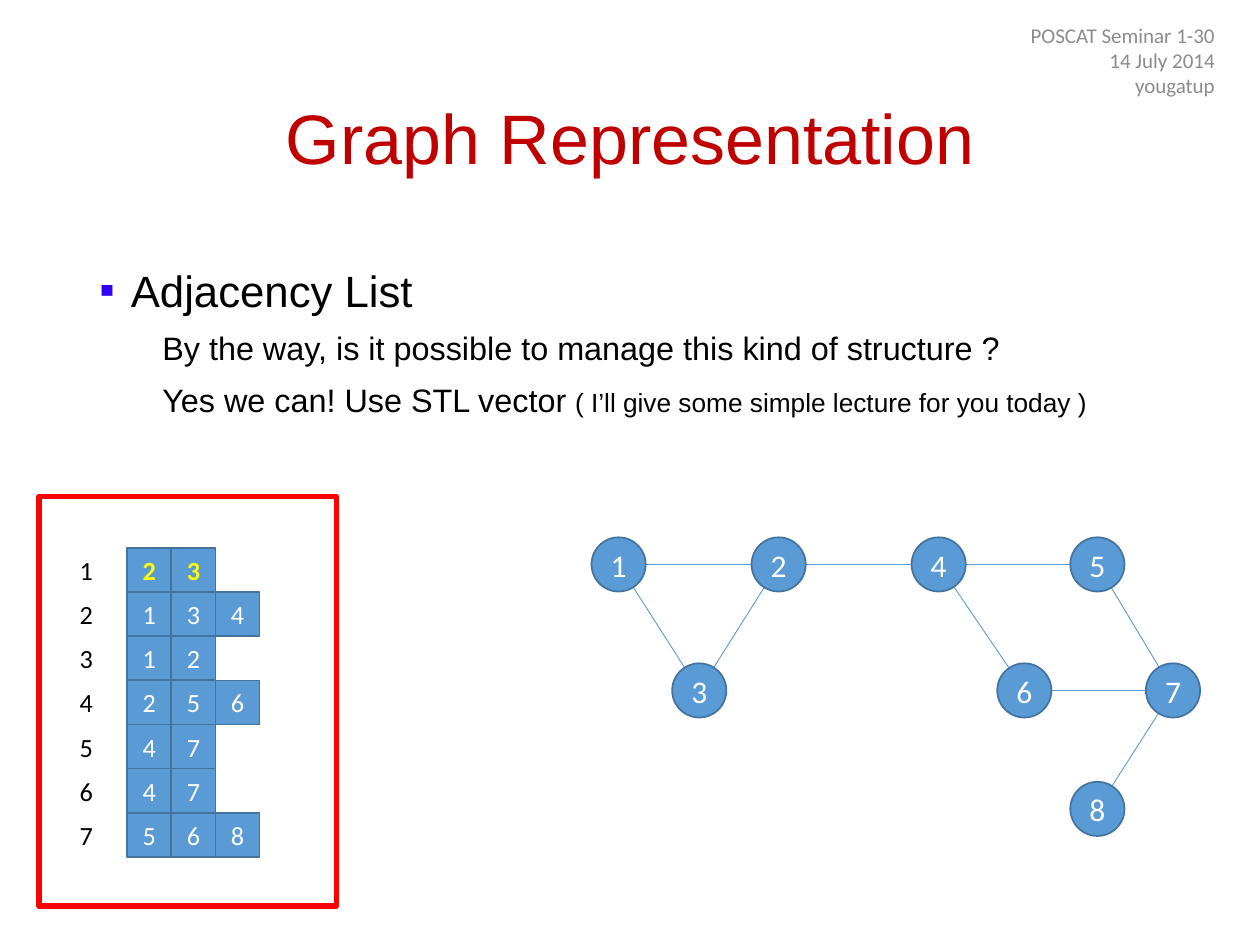
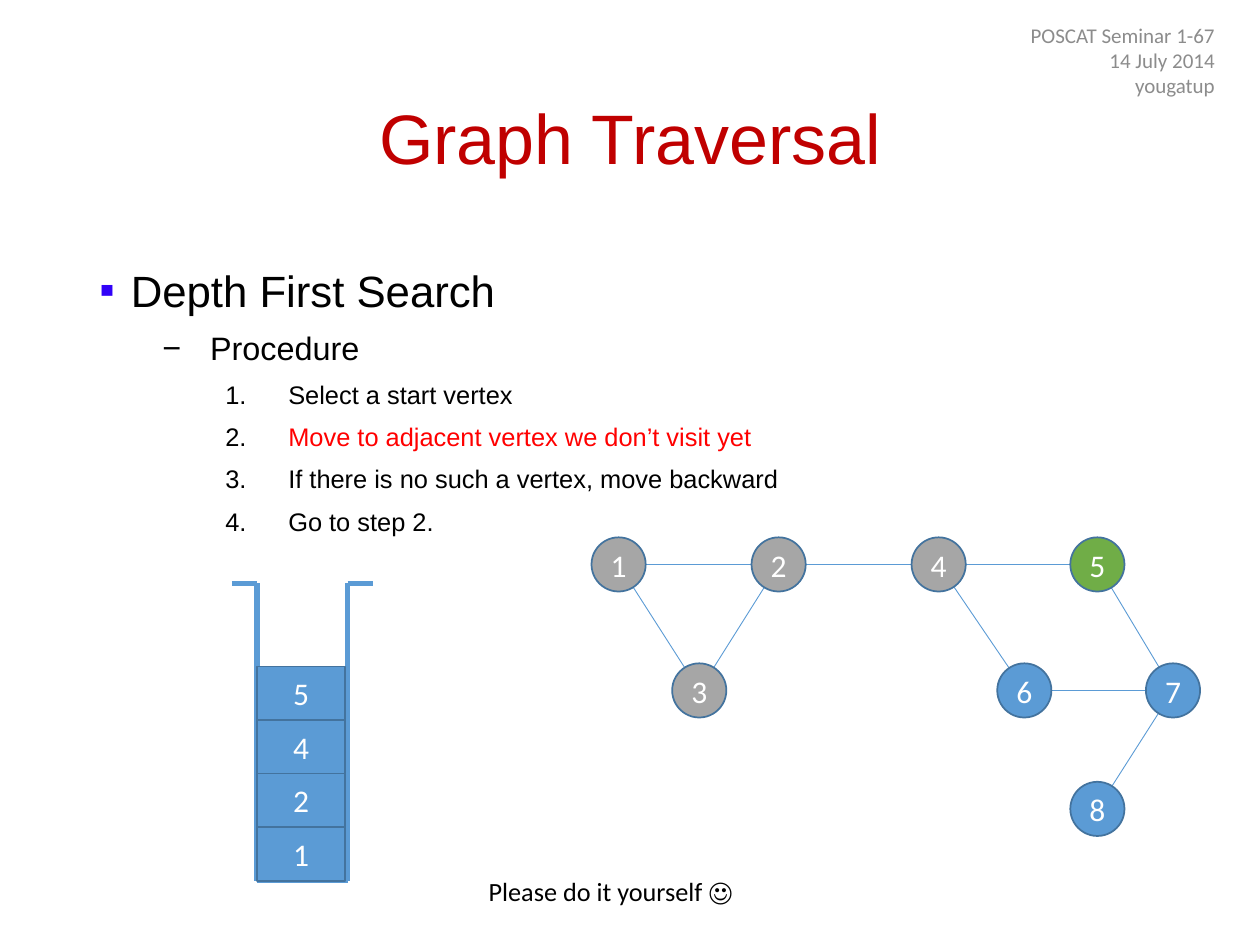
from lxml import etree
from pptx import Presentation
from pptx.dml.color import RGBColor
from pptx.enum import shapes, text
from pptx.oxml import ns
from pptx.util import Inches, Pt

BLACK = RGBColor(0x00, 0x00, 0x00)
WHITE = RGBColor(0xFF, 0xFF, 0xFF)
CRIMSON = RGBColor(0xC0, 0x00, 0x00)
RED = RGBColor(0xFF, 0x00, 0x00)
YELLOW = RGBColor(0xFF, 0xFF, 0x00)
GREY = RGBColor(0x8C, 0x8C, 0x8C)
SILVER = RGBColor(0xA6, 0xA6, 0xA6)
GREEN = RGBColor(0x70, 0xAD, 0x47)
BLUE = RGBColor(0x5B, 0x9B, 0xD5)
STEEL = RGBColor(0x43, 0x73, 0x9E)
VIOLET = RGBColor(0x31, 0x02, 0xF8)

HEAD, BASE = "Arial", "Calibri"
MID, TOP = text.MSO_ANCHOR.MIDDLE, text.MSO_ANCHOR.TOP
LEFT, CENTER, RIGHT = text.PP_ALIGN.LEFT, text.PP_ALIGN.CENTER, text.PP_ALIGN.RIGHT
RECT, OVAL = shapes.MSO_SHAPE.RECTANGLE, shapes.MSO_SHAPE.OVAL

NODES = {
    1: (4.91, 4.48), 2: (6.18, 4.48), 3: (5.55, 5.48), 4: (7.45, 4.48),
    5: (8.71, 4.48), 6: (8.13, 5.48), 7: (9.31, 5.48), 8: (8.71, 6.42),
}
EDGES = [(1, 2), (1, 3), (3, 2), (2, 4), (4, 5), (4, 6), (6, 7), (5, 7), (7, 8)]
DIAM = 0.43

LISTS = [(2, 3), (1, 3, 4), (1, 2), (2, 5, 6), (4, 7), (4, 7), (5, 6, 8)]
CELL = 0.35


def style(par, size, color, font=BASE, bold=False):
    for run in par.runs:
        run.font.size = Pt(size)
        run.font.name = font
        run.font.color.rgb = color
        run.font.bold = bold


def add_text(slide, box, words, size, color, font=BASE, align=LEFT, anchor=TOP, wrap=True):
    frame = slide.shapes.add_textbox(*map(Inches, box)).text_frame
    frame.text = words
    frame.word_wrap = wrap
    frame.vertical_anchor = anchor
    for par in frame.paragraphs:
        par.alignment = align
        style(par, size, color, font)
    return frame


def add_shape(slide, kind, box, fill, edge=STEEL, width=1):
    shape = slide.shapes.add_shape(kind, *map(Inches, box))
    shape.shadow.inherit = False
    if fill is None:
        shape.fill.background()
    else:
        shape.fill.solid()
        shape.fill.fore_color.rgb = fill
    shape.line.color.rgb = edge
    shape.line.width = Pt(width)
    return shape


def add_cell(slide, kind, box, label, size, fill=BLUE, color=WHITE, bold=False):
    frame = add_shape(slide, kind, box, fill).text_frame
    frame.margin_left = frame.margin_right = 0
    frame.margin_top = frame.margin_bottom = 0
    frame.vertical_anchor = MID
    frame.text = str(label)
    par = frame.paragraphs[0]
    par.alignment = CENTER
    style(par, size, color, bold=bold)


def add_line(slide, start, end, width):
    ends = map(Inches, (*start, *end))
    line = slide.shapes.add_connector(shapes.MSO_CONNECTOR.STRAIGHT, *ends)
    line.line.color.rgb = BLUE
    line.line.width = Pt(width)
    etree.SubElement(line._element.spPr, ns.qn("a:effectLst"))


def set_bullet(par, margin, indent, color, mark, kind="buChar"):
    props = par._p.get_or_add_pPr()
    props.set("marL", str(Inches(margin)))
    props.set("indent", str(Inches(indent)))
    if mark:
        tint = etree.SubElement(props, ns.qn("a:buClr"))
        etree.SubElement(tint, ns.qn("a:srgbClr")).set("val", str(color))
        etree.SubElement(props, ns.qn("a:buFont")).set("typeface", HEAD)
        key = "char" if kind == "buChar" else "type"
        etree.SubElement(props, ns.qn("a:" + kind)).set(key, mark)
    else:
        etree.SubElement(props, ns.qn("a:buNone"))


def add_point(frame, words, level, size, margin, indent, mark=None, kind="buChar", color=BLACK):
    par = frame.paragraphs[0] if level == 0 else frame.add_paragraph()
    par.text = words
    par.level = level
    par.line_spacing = 1.1
    par.space_before = Pt(5 if level else 10)
    set_bullet(par, margin, indent, BLACK if level else VIOLET, mark, kind)
    style(par, size, color, HEAD)
    return par


def add_base(deck, title, page, topic):
    slide = deck.slides.add_slide(deck.slide_layouts[6])
    head = add_text(slide, (0.69, 0.4, 8.62, 1.45), title, 40, CRIMSON, HEAD, CENTER, MID)
    head.paragraphs[0].line_spacing = 0.9
    body = add_text(slide, (0.69, 2, 9.13, 4.76), "", 25, BLACK)
    add_point(body, topic, 0, 25, 0.25, -0.25, "▪")
    note = f"POSCAT Seminar 1-{page}\n14 July 2014\nyougatup"
    add_text(slide, (7.49, 0.2, 2.25, 0.55), note, 12, GREY, align=RIGHT, anchor=MID)
    return slide, body


def add_graph(slide, fills):
    for start, end in EDGES:
        add_line(slide, NODES[start], NODES[end], 0.5)
    for node, (x, y) in NODES.items():
        box = (x - DIAM / 2, y - DIAM / 2, DIAM, DIAM)
        add_cell(slide, OVAL, box, node, 18, fills.get(node, BLUE))


def add_lists(slide, left, top, active):
    for row, items in enumerate(LISTS):
        y = top + row * CELL
        key = row + 1
        add_text(slide, (left - 0.5, y, CELL, CELL), str(key), 15, BLACK, align=CENTER, anchor=MID)
        lit = key == active
        for col, item in enumerate(items):
            box = (left + col * CELL, y, CELL, CELL)
            add_cell(slide, RECT, box, item, 15, color=YELLOW if lit else WHITE, bold=lit)
    add_shape(slide, RECT, (0.31, 3.94, 2.36, 3.25), None, RED, 3)


def add_stack(slide, items):
    left, right, rim, floor = 2.04, 2.76, 4.63, 6.99
    lip, high = 0.2, 1.7 / 4
    route = [(left - lip, rim), (left, rim), (left, floor),
             (right, floor), (right, rim), (right + lip, rim)]
    for start, end in zip(route, route[1:]):
        add_line(slide, start, end, 3)
    for place, item in enumerate(items, 1):
        add_cell(slide, RECT, (left, floor - place * high, 0.7, high), item, 18)


def add_lesson(deck):
    slide, body = add_base(deck, "Graph Representation", 30, "Adjacency List")
    ask = "By the way, is it possible to manage this kind of structure ?"
    add_point(body, ask, 1, 18.5, 0.5, 0)
    reply = add_point(body, "Yes we can! Use STL vector ", 1, 18.5, 0.5, 0)
    aside = reply.add_run()
    aside.text = "( I’ll give some simple lecture for you today )"
    aside.font.size = Pt(15)
    aside.font.name = HEAD
    aside.font.color.rgb = BLACK
    add_graph(slide, {})
    add_lists(slide, 1.01, 4.35, active=1)


def add_search(deck):
    slide, body = add_base(deck, "Graph Traversal", 67, "Depth First Search")
    add_point(body, "Procedure", 1, 18.5, 0.88, -0.38, "−")
    steps = [
        ("Select a start vertex", BLACK),
        ("Move to adjacent vertex we don’t visit yet", RED),
        ("If there is no such a vertex, move backward", BLACK),
        ("Go to step 2.", BLACK),
    ]
    for words, color in steps:
        add_point(body, words, 2, 14.5, 1.5, -0.5, "arabicPeriod", "buAutoNum", color)
    add_graph(slide, {**dict.fromkeys((1, 2, 3, 4), SILVER), 5: GREEN})
    add_stack(slide, (1, 2, 4, 5))
    add_text(slide, (3.78, 6.9, 2.14, 0.35), "Please do it yourself ☺", 15, BLACK, wrap=False)


def main():
    deck = Presentation()
    deck.slide_width, deck.slide_height = Inches(10), Inches(7.5)
    add_lesson(deck)
    add_search(deck)
    deck.save("out.pptx")


if __name__ == "__main__":
    main()
